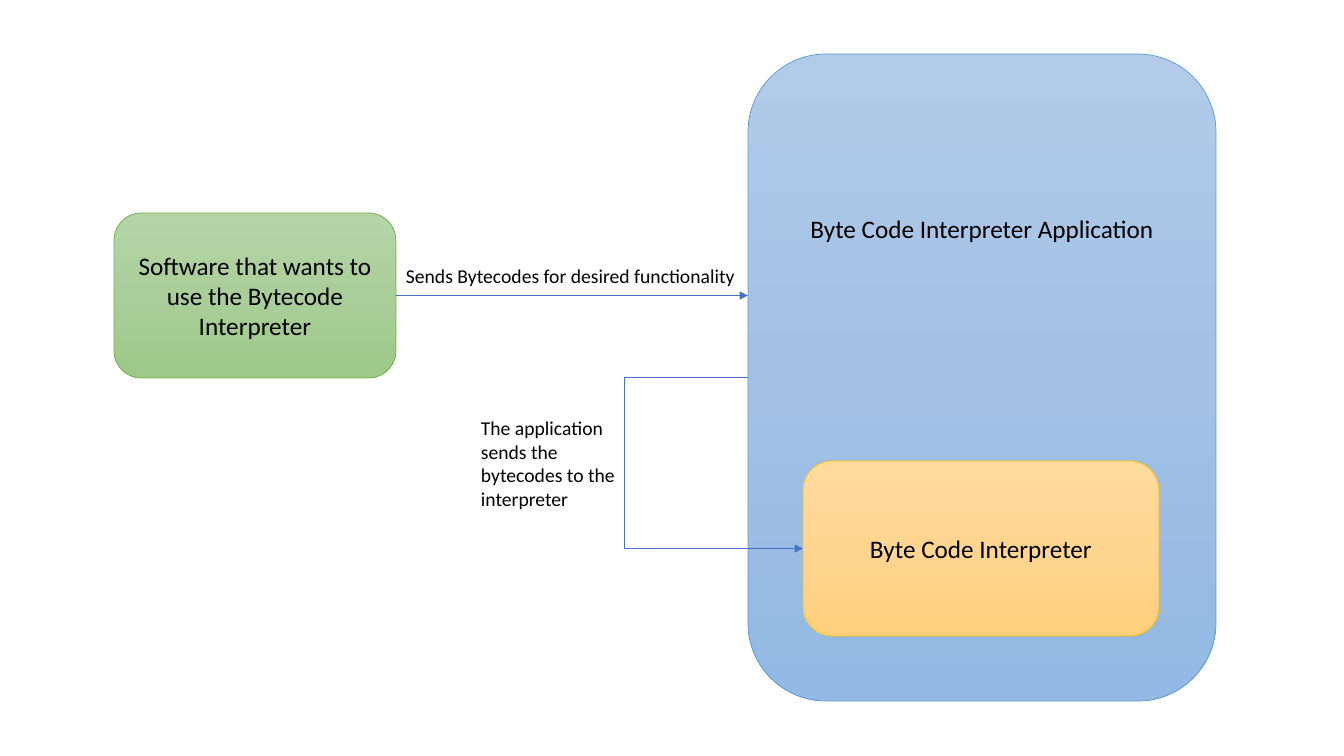
import pptx
import pptx.dml.color
import pptx.enum.shapes
import pptx.enum.text
import pptx.oxml
import pptx.oxml.ns
import pptx.util

PX = 12192000 / 1344
SLIDE_SIZE = (1344, 756)
FONT = "Calibri"
TEXT_COLOUR = "000000"
ARROW_COLOUR = "4472C4"
LEFT, RIGHT = 1, 3

# text, (left, top, width, height), gradient from top to bottom, outline
BOXES = {
    "application": ("Byte Code Interpreter Application", (748, 54, 468, 647),
                    ("B1CBE9", "A3C1E5", "93B9E4"), "5B9BD5"),
    "interpreter": ("Byte Code Interpreter", (803, 461, 356, 175),
                    ("FFDB9E", "FFD590", "FFD07C"), "FFC000"),
    "software": ("Software that wants to use the Bytecode Interpreter", (114, 213, 282, 165),
                 ("B5D5A7", "AACE9A", "9CC987"), "70AD47"),
}
LABELS = [
    ("Sends Bytecodes for desired functionality", (396, 259, 369, 34)),
    ("The application sends the bytecodes to the interpreter", (471, 411, 154, 105)),
]
APPLICATION_TEXT_INSET = 136
BEND_X = 624


def emu(px):
    return pptx.util.Emu(round(px * PX))


def rgb(colour):
    return pptx.dml.color.RGBColor.from_string(colour)


def write(shape, text, size, alignment):
    frame = shape.text_frame
    frame.word_wrap = True
    frame.text = text
    paragraph = frame.paragraphs[0]
    paragraph.alignment = alignment
    paragraph.font.name = FONT
    paragraph.font.size = pptx.util.Pt(size)
    paragraph.font.color.rgb = rgb(TEXT_COLOUR)


def fill_gradient(shape, colours):
    """Fill from top to bottom with evenly spaced stops."""
    stops = "".join(
        f'<a:gs pos="{100000 * i // (len(colours) - 1)}"><a:srgbClr val="{colour}"/></a:gs>'
        for i, colour in enumerate(colours))
    gradient = pptx.oxml.parse_xml(
        f'<a:gradFill {pptx.oxml.ns.nsdecls("a")} rotWithShape="1"><a:gsLst>{stops}</a:gsLst>'
        '<a:lin ang="5400000" scaled="0"/></a:gradFill>')
    shape.element.spPr.find(pptx.oxml.ns.qn("a:prstGeom")).addnext(gradient)


def add_box(slide, text, place, gradient, outline):
    box = slide.shapes.add_shape(
        pptx.enum.shapes.MSO_SHAPE.ROUNDED_RECTANGLE, *map(emu, place))
    box.shadow.inherit = False
    fill_gradient(box, gradient)
    box.line.color.rgb = rgb(outline)
    box.line.width = pptx.util.Pt(0.5)
    box.text_frame.vertical_anchor = pptx.enum.text.MSO_ANCHOR.MIDDLE
    write(box, text, 18, pptx.enum.text.PP_ALIGN.CENTER)
    return box


def add_arrow(slide, kind, start, end):
    arrow = slide.shapes.add_connector(kind, *start, *end)
    arrow.line.color.rgb = rgb(ARROW_COLOUR)
    arrow.line.width = pptx.util.Pt(0.5)
    namespace = pptx.oxml.ns.nsdecls("a")
    arrow.line._get_or_add_ln().append(
        pptx.oxml.parse_xml(f'<a:tailEnd {namespace} type="triangle"/>'))
    arrow.element.spPr.append(pptx.oxml.parse_xml(f"<a:effectLst {namespace}/>"))
    return arrow


def main():
    presentation = pptx.Presentation()
    presentation.slide_width, presentation.slide_height = map(emu, SLIDE_SIZE)
    slide = presentation.slides.add_slide(presentation.slide_layouts[6])

    boxes = {name: add_box(slide, *box) for name, box in BOXES.items()}
    application, interpreter, software = boxes.values()
    application.text_frame.vertical_anchor = pptx.enum.text.MSO_ANCHOR.TOP
    application.text_frame.margin_top = emu(APPLICATION_TEXT_INSET)

    request_y = software.top + software.height // 2
    request = add_arrow(slide, pptx.enum.shapes.MSO_CONNECTOR.STRAIGHT,
                        (software.left + software.width, request_y),
                        (application.left, request_y))
    request.begin_connect(software, RIGHT)

    forward = add_arrow(slide, pptx.enum.shapes.MSO_CONNECTOR.ELBOW,
                        (application.left, application.top + application.height // 2),
                        (interpreter.left, interpreter.top + interpreter.height // 2))
    forward.begin_connect(application, LEFT)
    forward.end_connect(interpreter, LEFT)
    bend = round(100000 * (emu(BEND_X) - application.left) / forward.width)
    forward.element.spPr.find(pptx.oxml.ns.qn("a:prstGeom")).find(
        pptx.oxml.ns.qn("a:avLst")).append(pptx.oxml.parse_xml(
            f'<a:gd {pptx.oxml.ns.nsdecls("a")} name="adj1" fmla="val {bend}"/>'))

    for text, place in LABELS:
        label = slide.shapes.add_textbox(*map(emu, place))
        write(label, text, 14, pptx.enum.text.PP_ALIGN.LEFT)

    presentation.save("out.pptx")


if __name__ == "__main__":
    main()
